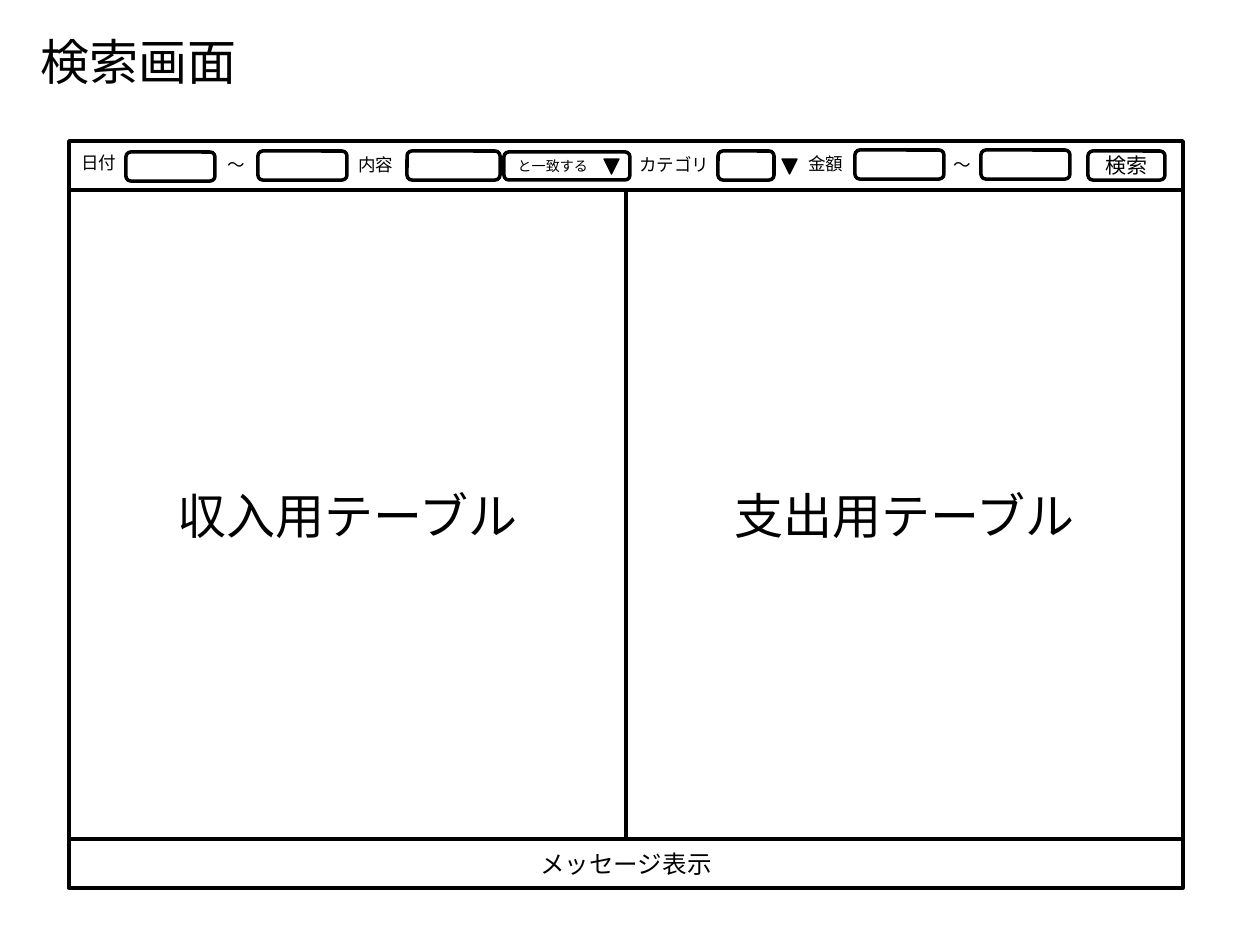
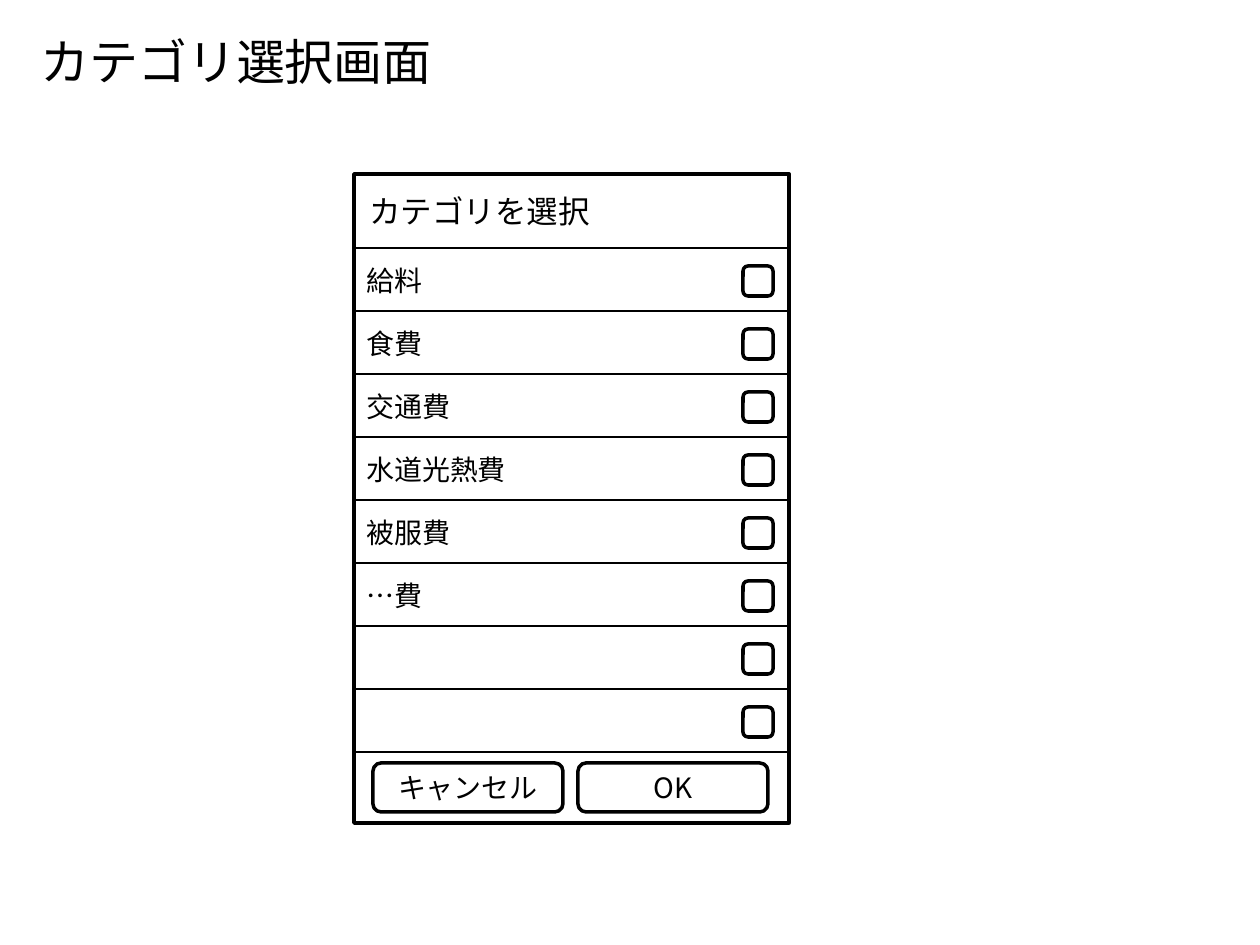
from dataclasses import dataclass

from lxml.etree import SubElement
from pptx import Presentation
from pptx.dml.color import RGBColor
from pptx.enum.shapes import MSO_CONNECTOR, MSO_SHAPE
from pptx.enum.text import MSO_ANCHOR, MSO_AUTO_SIZE, PP_ALIGN
from pptx.oxml.ns import qn
from pptx.util import Inches, Pt

PIXELS_PER_INCH = 126


def px(pixels):
    return Inches(pixels / PIXELS_PER_INCH)


@dataclass(frozen=True)
class Theme:
    ink: RGBColor = RGBColor(0, 0, 0)
    paper: RGBColor = RGBColor(255, 255, 255)
    font: str = "Noto Sans CJK JP"
    symbol_font: str = "Calibri"
    title: int = 28
    heading: int = 18
    body: int = 16
    message: int = 14
    button: int = 12
    label: int = 10
    option: int = 8
    outline: float = 2
    rule: float = 1.5
    hairline: float = 0.75


class Wireframe:
    """Draws screen mock-ups in one style on the current slide."""

    def __init__(self, theme):
        self.theme = theme
        self.presentation = Presentation()
        self.presentation.slide_width = Inches(10)
        self.presentation.slide_height = Inches(7.5)
        self.slide = None

    def new_screen(self, title, title_width):
        layout = self.presentation.slide_layouts[6]
        self.slide = self.presentation.slides.add_slide(layout)
        background = self.slide.background.fill
        background.solid()
        background.fore_color.rgb = self.theme.paper
        self.label(title, 28, 25, title_width, 72, self.theme.title)

    def set_text(self, text_frame, text, size, font=None):
        text_frame.text = text
        for run in text_frame.paragraphs[0].runs:
            run.font.size = Pt(size)
            run.font.color.rgb = self.theme.ink
            run.font.name = font or self.theme.font
            east_asian = SubElement(run.font._element, qn("a:ea"))
            east_asian.set("typeface", run.font.name)

    def label(self, text, left, top, width, height, size, font=None):
        box = self.slide.shapes.add_textbox(px(left), px(top), px(width), px(height))
        box.text_frame.word_wrap = False
        box.text_frame.auto_size = MSO_AUTO_SIZE.SHAPE_TO_FIT_TEXT
        self.set_text(box.text_frame, text, size, font)

    def shape(self, kind, left, top, width, height, line_width):
        shape = self.slide.shapes.add_shape(
            kind, px(left), px(top), px(width), px(height))
        shape.shadow.inherit = False
        shape.fill.background()
        shape.line.color.rgb = self.theme.ink
        shape.line.width = Pt(line_width)
        return shape

    def box(self, left, top, width, height, text="", size=None,
            rounded=False, align=PP_ALIGN.CENTER):
        kind = MSO_SHAPE.ROUNDED_RECTANGLE if rounded else MSO_SHAPE.RECTANGLE
        shape = self.shape(kind, left, top, width, height, self.theme.outline)
        if text:
            shape.text_frame.vertical_anchor = MSO_ANCHOR.MIDDLE
            self.set_text(shape.text_frame, text, size)
            shape.text_frame.paragraphs[0].alignment = align

    def field(self, left, top, width, height, text="", size=None,
              align=PP_ALIGN.CENTER):
        self.box(left, top, width, height, text, size, True, align)

    def down_arrow(self, left, top):
        shape = self.shape(MSO_SHAPE.ISOSCELES_TRIANGLE, left, top, 15, 15,
                           self.theme.hairline)
        shape.rotation = 180
        shape.fill.solid()
        shape.fill.fore_color.rgb = self.theme.ink

    def rule(self, left, right, y):
        line = self.slide.shapes.add_connector(
            MSO_CONNECTOR.STRAIGHT, px(left), px(y), px(right), px(y))
        line.line.color.rgb = self.theme.ink
        line.line.width = Pt(self.theme.rule)
        SubElement(line._element.spPr, qn("a:effectLst"))


theme = Theme()
wireframe = Wireframe(theme)

# Search screen: two tables between a search bar and a message bar
wireframe.new_screen("検索画面", 223)
LEFT, TOP, WIDTH, BAR, TABLE = 69, 141, 1114, 49, 649
table_top = TOP + BAR
half = WIDTH // 2
for column, name in enumerate(("収入用テーブル", "支出用テーブル")):
    wireframe.box(LEFT + column * half, table_top, half, TABLE, name, theme.title)
wireframe.box(LEFT, TOP, WIDTH, BAR)
wireframe.box(LEFT, table_top + TABLE, WIDTH, BAR, "メッセージ表示", theme.message)

# Search bar: labels, range marks, input fields and drop-downs
for text, left, top, width in (("日付", 69, 146, 60), ("内容", 346, 148, 60),
                               ("カテゴリ", 627, 148, 96), ("金額", 796, 147, 60)):
    wireframe.label(text, left, top, width, 34, theme.label)
for left in (215, 941):
    wireframe.label("〜", left, 148, 43, 34, theme.label, theme.symbol_font)
for left, top, width in ((126, 152, 89), (258, 151, 89), (407, 151, 93),
                         (718, 151, 56), (855, 150, 89), (981, 150, 89)):
    wireframe.field(left, top, width, 29)
wireframe.field(504, 152, 126, 28, "と一致する", theme.option, PP_ALIGN.LEFT)
wireframe.field(1088, 151, 77, 29, "検索", theme.button)
for left in (604, 782):
    wireframe.down_arrow(left, 159)

# Category screen: a dialog of ruled rows, each with a check box
wireframe.new_screen("カテゴリ選択画面", 421)
LEFT, TOP, WIDTH, HEIGHT = 354, 174, 435, 649
FIRST_ROW, ROW, ROWS = 248, 63, 8
wireframe.box(LEFT, TOP, WIDTH, HEIGHT)
wireframe.label("カテゴリを選択", 357, 186, 248, 50, theme.heading)
for row in range(ROWS + 1):
    wireframe.rule(LEFT, LEFT + WIDTH, FIRST_ROW + row * ROW)
for row in range(ROWS):
    wireframe.field(743, FIRST_ROW + row * ROW + 18, 30, 30)
categories = ("給料", "食費", "交通費", "水道光熱費", "被服費", "…費")
for row, category in enumerate(categories):
    wireframe.label(category, LEFT, FIRST_ROW + row * ROW + 9,
                    26 + 28 * len(category), 47, theme.body)

# Dialog buttons
for column, caption in enumerate(("キャンセル", "OK")):
    wireframe.field(373 + column * 205, 763, 190, 49, caption, theme.body)

wireframe.presentation.save("out.pptx")
